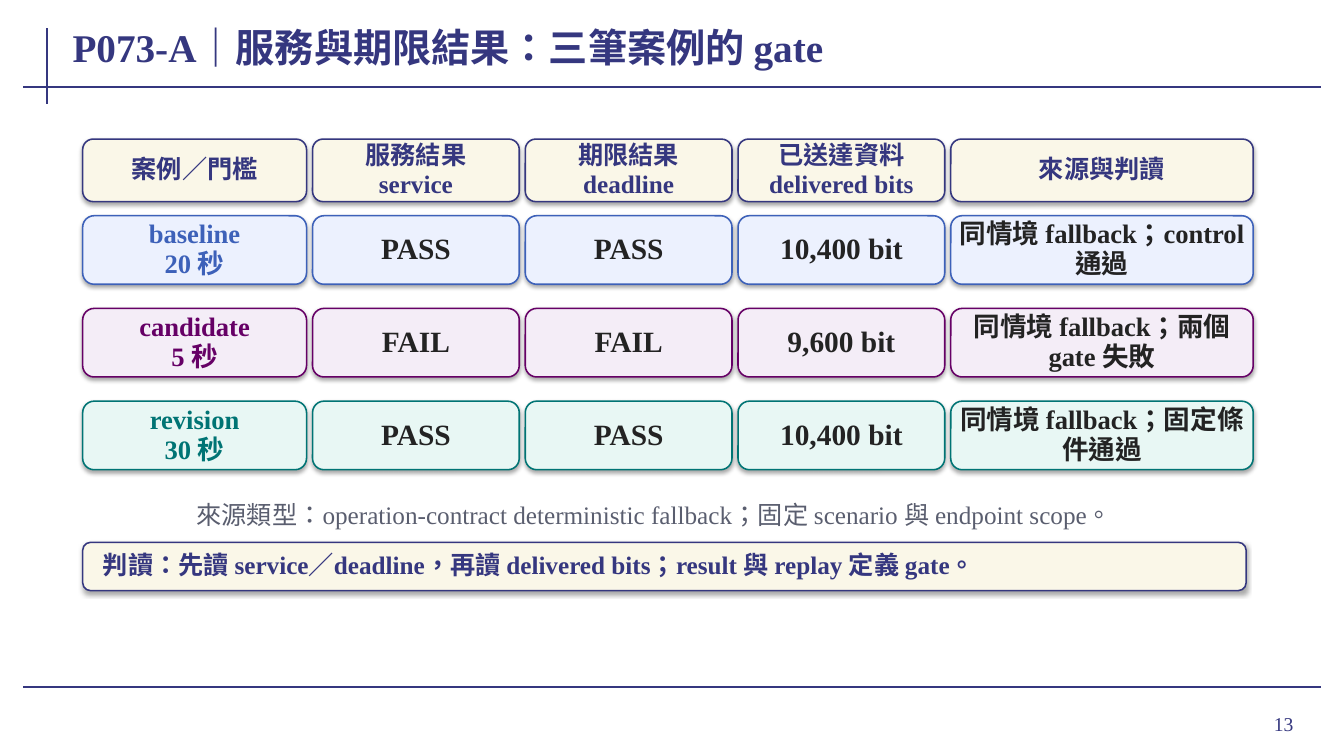
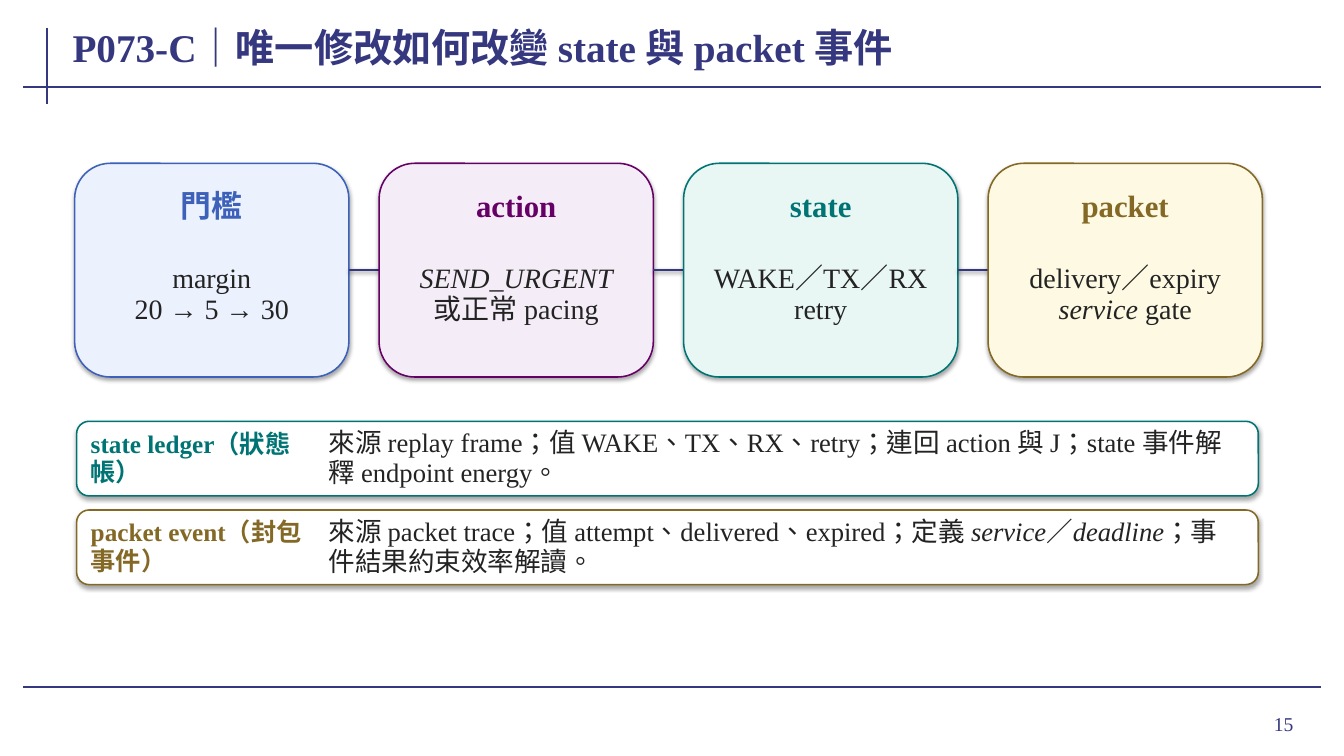
from pptx import Presentation
from pptx.dml.color import RGBColor
from pptx.enum.lang import MSO_LANGUAGE_ID
from pptx.enum.shapes import MSO_CONNECTOR, MSO_SHAPE
from pptx.enum.text import MSO_ANCHOR, MSO_AUTO_SIZE, PP_ALIGN
from pptx.oxml.ns import qn
from pptx.util import Emu, Pt
from lxml import etree

PX = 9144  # 100 px to the inch
FONT = "Times New Roman"
NAVY = RGBColor(0x35, 0x37, 0x7F)
INK = RGBColor(0x23, 0x23, 0x23)
GRAY = RGBColor(0x5A, 0x5E, 0x6F)
BLUE = RGBColor(0x3D, 0x61, 0xB9)
PLUM = RGBColor(0x66, 0x00, 0x66)
TEAL = RGBColor(0x00, 0x74, 0x74)
GOLD = RGBColor(0x84, 0x68, 0x26)
WHITE = RGBColor(0xFF, 0xFF, 0xFF)
CREAM = RGBColor(0xFA, 0xF7, 0xE8)
SKY = RGBColor(0xEC, 0xF1, 0xFE)
LILAC = RGBColor(0xF4, 0xED, 0xF7)
MINT = RGBColor(0xE8, 0xF7, 0xF4)
LEMON = RGBColor(0xFD, 0xF9, 0xE2)
LEFT, CENTER, RIGHT = PP_ALIGN.LEFT, PP_ALIGN.CENTER, PP_ALIGN.RIGHT
TOP, MIDDLE = MSO_ANCHOR.TOP, MSO_ANCHOR.MIDDLE
ROUND, STRAIGHT = MSO_SHAPE.ROUNDED_RECTANGLE, MSO_CONNECTOR.STRAIGHT
CHINESE = MSO_LANGUAGE_ID.TRADITIONAL_CHINESE


def write(shape, text, size=18, color=INK, bold=False, align=LEFT, anchor=MIDDLE):
    """Fill a shape with text; a line break starts a paragraph, *stars* mark italics."""
    frame = shape.text_frame
    frame.word_wrap = True
    frame.auto_size = MSO_AUTO_SIZE.NONE
    frame.vertical_anchor = anchor
    frame.margin_left = frame.margin_right = Emu(4 * PX)
    frame.margin_top = frame.margin_bottom = 0
    for i, line in enumerate(text.split("\n")):
        para = frame.add_paragraph() if i else frame.paragraphs[0]
        para.alignment = align
        para.line_spacing = 0.94
        for j, part in enumerate(line.split("*")):
            if not part:
                continue
            run = para.add_run()
            run.text = part
            font = run.font
            font.name, font.size, font.bold = FONT, Pt(size), bold
            font.italic = j % 2 == 1
            font.color.rgb = color
            font.language_id = CHINESE


def place(slide, x, y, w, h, fill=None, line=NAVY):
    """Add a card with the theme's soft shadow, or a text box if there is no fill."""
    box = [Emu(n * PX) for n in (x, y, w, h)]
    if fill is None:
        return slide.shapes.add_textbox(*box)
    card = slide.shapes.add_shape(ROUND, *box)
    card.fill.solid()
    card.fill.fore_color.rgb = fill
    card.line.color.rgb = line
    card.line.width = Pt(1.1)
    return card


deck = Presentation()
deck.slide_width, deck.slide_height = Emu(1333 * PX), Emu(750 * PX)
layout = deck.slide_layouts[5]
head = layout.placeholders[0]
head.left, head.top, head.width, head.height = [Emu(n * PX) for n in (68, 18, 1195, 62)]

pages = []
for title, number in (
    ("P073-A｜服務與期限結果：三筆案例的 gate", "13"),
    ("P073-C｜唯一修改如何改變 state 與 packet 事件", "15"),
):
    slide = deck.slides.add_slide(layout)
    write(slide.shapes.title, title, size=28, color=NAVY, bold=True)
    write(place(slide, 1196, 693, 91, 52), number, size=14, color=NAVY, align=RIGHT)
    pages.append(slide)
gates, flow = pages

# Rules are drawn on a slide, then moved to the layout that both slides share
for ends in ((47, 28, 47, 103), (23, 86, 1310, 86), (23, 682, 1310, 682)):
    rule = gates.shapes.add_connector(STRAIGHT, *[Emu(n * PX) for n in ends])
    rule.line.color.rgb = NAVY
    rule.line.width = Pt(1.5)
    etree.SubElement(rule.element.spPr, qn("a:effectLst"))
    layout.shapes.element.append(rule.element)

# Results grid
WIDTHS, GAP = (222, 205, 205, 205, 300), 6
ROWS = (
    (138, 62, CREAM, NAVY, ("案例／門檻", "服務結果\nservice", "期限結果\ndeadline",
                            "已送達資料\ndelivered bits", "來源與判讀")),
    (214, 68, SKY, BLUE, ("baseline\n20 秒", "PASS", "PASS", "10,400 bit",
                          "同情境 fallback；control 通過")),
    (306, 68, LILAC, PLUM, ("candidate\n5 秒", "FAIL", "FAIL", "9,600 bit",
                            "同情境 fallback；兩個 gate 失敗")),
    (398, 68, MINT, TEAL, ("revision\n30 秒", "PASS", "PASS", "10,400 bit",
                           "同情境 fallback；固定條件通過")),
)
for row, (y, h, fill, tone, cells) in enumerate(ROWS):
    x = 82
    for col, (w, text) in enumerate(zip(WIDTHS, cells)):
        size = 18 if row == 0 else 21 if 0 < col < 4 else 19
        color = tone if row == 0 or col == 0 else INK
        cell = place(gates, x, y, w, h, fill, tone)
        write(cell, text, size=size, color=color, bold=True, align=CENTER)
        x += w + GAP

write(place(gates, 90, 498, 1118, 28),
      "來源類型：operation-contract deterministic fallback；固定 scenario 與 endpoint scope。",
      color=GRAY, align=CENTER)
place(gates, 82, 538, 1154, 48, CREAM)
write(place(gates, 98, 544, 1122, 36),
      "判讀：先讀 service／deadline，再讀 delivered bits；result 與 replay 定義 gate。",
      color=NAVY, bold=True)

# Chain of four cards
CARD, STEP = 272, 302
STAGES = (
    ("門檻", "margin\n20 → 5 → 30", SKY, BLUE),
    ("action", "*SEND_URGENT*\n或正常 pacing", LILAC, PLUM),
    ("state", "WAKE／TX／RX\nretry", MINT, TEAL),
    ("packet", "delivery／expiry\n*service* gate", LEMON, GOLD),
)
for i, (name, body, fill, tone) in enumerate(STAGES):
    x = 74 + i * STEP
    if i:
        ends = (x - STEP + CARD, 268, x, 268)
        link = flow.shapes.add_connector(STRAIGHT, *[Emu(n * PX) for n in ends])
        link.line.color.rgb = NAVY
        link.line.width = Pt(1.8)
    place(flow, x, 162, CARD, 212, fill, tone)
    write(place(flow, x + 16, 188, 240, 34), name, size=22, color=tone, bold=True, align=CENTER)
    write(place(flow, x + 20, 248, 232, 88), body, size=20, align=CENTER)

# Evidence strips
STRIPS = (
    ("state ledger（狀態帳）", TEAL,
     "來源 replay frame；值 WAKE、TX、RX、retry；連回 action 與 J；state 事件解釋 endpoint energy。"),
    ("packet event（封包事件）", GOLD,
     "來源 packet trace；值 attempt、delivered、expired；定義 *service*／*deadline*；事件結果約束效率解讀。"),
)
for i, (name, tone, body) in enumerate(STRIPS):
    y = 418 + i * 88
    place(flow, 76, y, 1172, 74, WHITE, tone)
    write(place(flow, 86, y + 6, 228, 62), name, color=tone, bold=True)
    write(place(flow, 322, y + 7, 914, 60), body, size=19, anchor=TOP)

deck.save("out.pptx")
